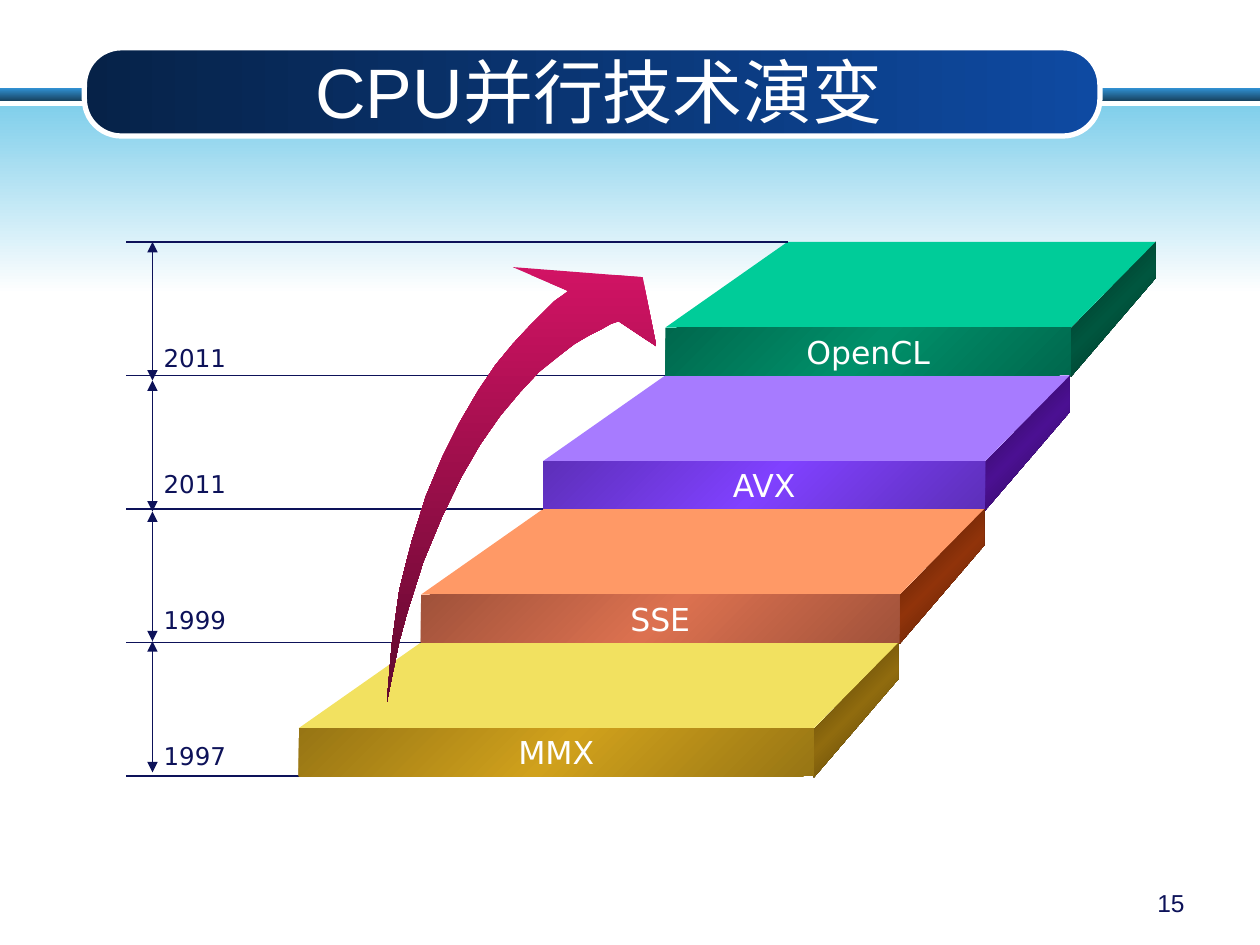
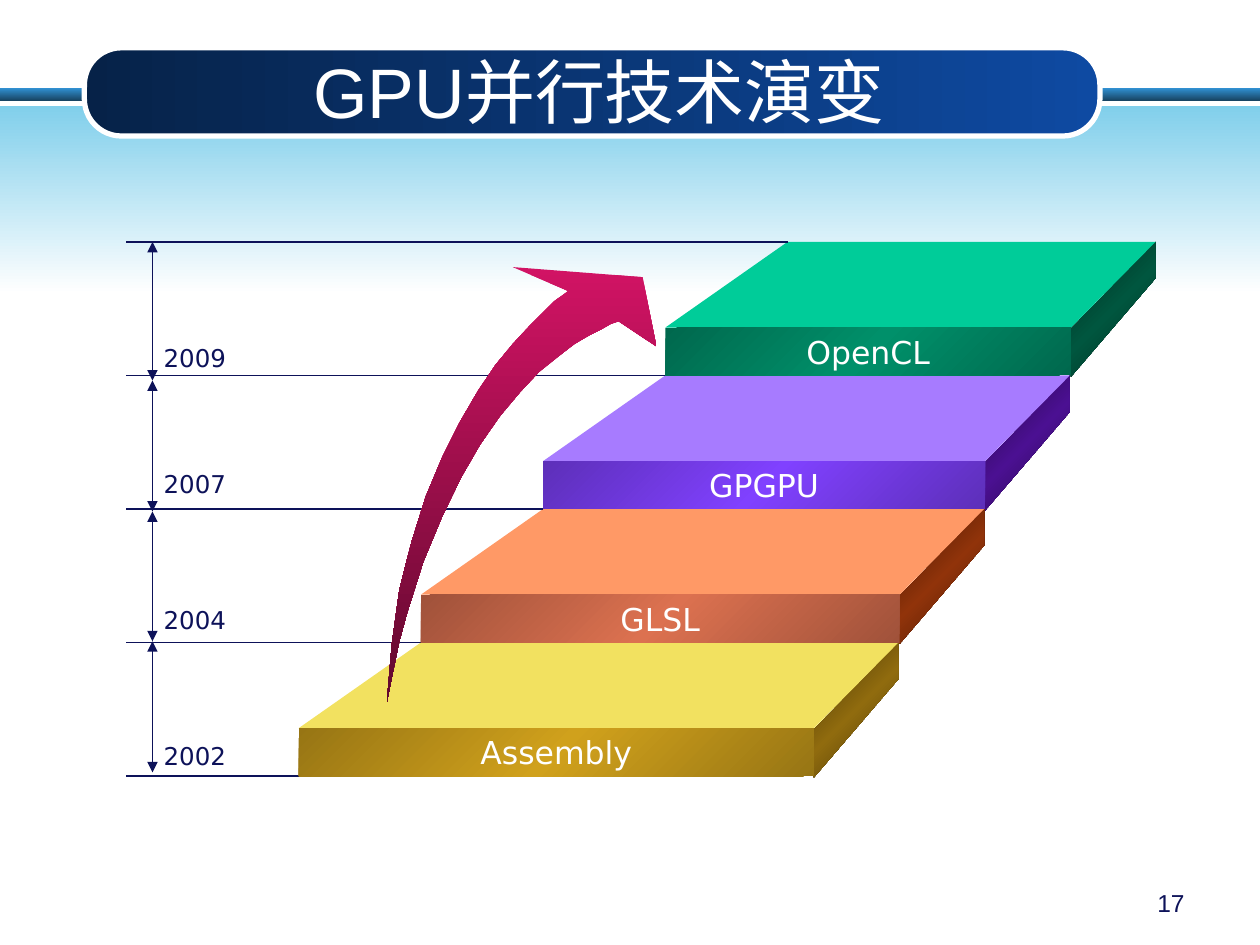
from copy import deepcopy
from typing import NamedTuple, Optional, Sequence

from lxml.etree import SubElement
from pptx import Presentation
from pptx.dml.color import RGBColor
from pptx.enum.shapes import MSO_CONNECTOR, MSO_SHAPE
from pptx.enum.text import MSO_ANCHOR, PP_ALIGN
from pptx.oxml.ns import qn
from pptx.util import Emu, Pt

EMU_PER_PX = 9144
INK = "0D1259"
WHITE = "FFFFFF"
TITLE_FONT = "Arial"
LABEL_FONT = "DejaVu Sans"

STEP_COUNT = 4
STEP_HEIGHT = 106
TREAD_DEPTH = 68
FRONT_HEIGHT = STEP_HEIGHT - TREAD_DEPTH
TOP_EDGE = 192
LEFT_SHIFT = 97
RIGHT_SHIFT = 67
RULE_LEFT = 100
TIMELINE_X = 121
TIMELINE_YS = (192, 302, 406, 509, 613)

GROWTH_ARROW = (
    (307, 558), (311, 511), (317, 468), (322, 448), (327, 429), (338, 394),
    (351, 363), (365, 335), (379, 311), (393, 290), (407, 273), (420, 259),
    (431, 248), (440, 239), (447, 234), (451, 231), (407, 212), (510, 220),
    (521, 275), (491, 255), (485, 257), (478, 261), (468, 266), (456, 273),
    (443, 283), (428, 295), (413, 311), (397, 330), (381, 353), (366, 379),
    (351, 410), (336, 446), (323, 487), (317, 509), (312, 533),
)


class StepStyle(NamedTuple):
    tread: str
    front_edge: str
    front_middle: str
    side_edge: str
    side_middle: str
    year_top: int


class Evolution(NamedTuple):
    title: str
    page: str
    names: Sequence[str]
    years: Sequence[str]


STEP_STYLES = (
    StepStyle("00CC99", "00684D", "00906A", "00281D", "00563F", 267),
    StepStyle("A77BFF", "5D2FB9", "8041FF", "230744", "4B1092", 367),
    StepStyle("FF9966", "A0523A", "DC7150", "431805", "90330A", 475),
    StepStyle("F2E160", "977514", "D0A11C", "433206", "906B0E", 583),
)

EVOLUTIONS = (
    Evolution("CPU并行技术演变", "15", ("OpenCL", "AVX", "SSE", "MMX"),
              ("2011", "2011", "1999", "1997")),
    Evolution("GPU并行技术演变", "17", ("OpenCL", "GPGPU", "GLSL", "Assembly"),
              ("2009", "2007", "2004", "2002")),
)


def px(length: int) -> Emu:
    return Emu(length * EMU_PER_PX)


def rgb(value: str) -> RGBColor:
    return RGBColor.from_string(value)


def paint(shape, colours: Sequence[str], angle: int = 0,
          outline: Optional[str] = None) -> None:
    shape.shadow.inherit = False
    if len(colours) == 1:
        shape.fill.solid()
        shape.fill.fore_color.rgb = rgb(colours[0])
    else:
        shape.fill.gradient()
        shape.fill.gradient_angle = -angle % 360
        stop_list = shape.element.spPr.find(".//" + qn("a:gsLst"))
        for _ in colours[2:]:
            stop_list.append(deepcopy(stop_list[0]))
        for i, (stop, colour) in enumerate(zip(shape.fill.gradient_stops, colours)):
            stop.position = i / (len(colours) - 1)
            stop.color.rgb = rgb(colour)
    if outline:
        shape.line.color.rgb = rgb(outline)
        shape.line.width = Pt(3)
    else:
        shape.line.fill.background()


def add_block(slide, left: int, top: int, width: int, height: int,
              colours: Sequence[str], angle: int = 0,
              kind=MSO_SHAPE.RECTANGLE, outline: Optional[str] = None):
    block = slide.shapes.add_shape(kind, px(left), px(top), px(width), px(height))
    paint(block, colours, angle, outline)
    return block


def add_outline(slide, points, colours: Sequence[str], angle: int = 0) -> None:
    builder = slide.shapes.build_freeform(*points[0], scale=EMU_PER_PX)
    builder.add_line_segments(points[1:], close=True)
    paint(builder.convert_to_shape(), colours, angle)


def add_rule(slide, x1: int, y1: int, x2: int, y2: int, arrows: bool = False) -> None:
    rule = slide.shapes.add_connector(
        MSO_CONNECTOR.STRAIGHT, px(x1), px(y1), px(x2), px(y2))
    rule.line.color.rgb = rgb(INK)
    rule.line.width = Pt(0.75)
    properties = rule.element.spPr
    if arrows:
        for end in ("a:headEnd", "a:tailEnd"):
            SubElement(properties.find(qn("a:ln")), qn(end), type="triangle")
    SubElement(properties, qn("a:effectLst"))


def write(shape, text: str, *, size: int, font: str = LABEL_FONT,
          colour: str = INK, align=PP_ALIGN.LEFT, anchor=MSO_ANCHOR.TOP,
          wrap: bool = False) -> None:
    frame = shape.text_frame
    frame.word_wrap = wrap
    frame.vertical_anchor = anchor
    paragraph = frame.paragraphs[0]
    paragraph.alignment = align
    run = paragraph.add_run()
    run.text = text
    run.font.size = Pt(size)
    run.font.name = font
    run.font.color.rgb = rgb(colour)


def add_text(slide, left: int, top: int, width: int, height: int,
             text: str, **text_format) -> None:
    box = slide.shapes.add_textbox(px(left), px(top), px(width), px(height))
    write(box, text, **text_format)


def draw_frame(slide, title: str, page: str) -> None:
    add_block(slide, 0, 70, 1000, 10, ("3191D3", "174361"), 90)
    add_block(slide, 0, 84, 1000, 149, ("81CFEB", WHITE), 90)
    banner = add_block(slide, 67, 38, 806, 70, ("062248", "0E4AA2"),
                       kind=MSO_SHAPE.ROUNDED_RECTANGLE, outline=WHITE)
    banner.adjustments[0] = 0.42
    add_text(slide, 92, 41, 767, 62, title, size=40, font=TITLE_FONT, colour=WHITE,
             align=PP_ALIGN.CENTER, anchor=MSO_ANCHOR.MIDDLE, wrap=True)
    add_text(slide, 717, 700, 233, 35, page, size=14, font=TITLE_FONT,
             align=PP_ALIGN.RIGHT, wrap=True)


def step_edges(level: int) -> tuple[int, int, int]:
    return 528 - LEFT_SHIFT * level, 850 - 68 * level, TOP_EDGE + STEP_HEIGHT * level


def draw_step(slide, level: int, style: StepStyle) -> None:
    left, right, top = step_edges(level)
    back_right = right + RIGHT_SHIFT
    fold = top + TREAD_DEPTH
    add_outline(slide, ((back_right, top + 29), (right, top + STEP_HEIGHT + 1),
                        (right, fold + 1), (back_right, top)),
                (style.side_edge, style.side_middle, style.side_edge), 45)
    add_outline(slide, ((right, fold), (left, fold), (left + LEFT_SHIFT, top),
                        (back_right, top)), (style.tread,))


def draw_front(slide, level: int, style: StepStyle, name: str) -> None:
    left, right, top = step_edges(level)
    front = add_block(slide, left, top + TREAD_DEPTH, right - left, FRONT_HEIGHT,
                      (style.front_edge, style.front_middle, style.front_edge), 45)
    write(front, name, size=18, colour=WHITE, align=PP_ALIGN.CENTER,
          anchor=MSO_ANCHOR.MIDDLE)


def draw_timeline(slide) -> None:
    for level in range(STEP_COUNT + 1):
        left, _, top = step_edges(level)
        add_rule(slide, left + LEFT_SHIFT, top, RULE_LEFT, top)
    for start, end in zip(TIMELINE_YS, TIMELINE_YS[1:]):
        add_rule(slide, TIMELINE_X, start, TIMELINE_X, end, arrows=True)


def draw_evolution(slide, evolution: Evolution) -> None:
    draw_frame(slide, evolution.title, evolution.page)
    for level, style in enumerate(STEP_STYLES):
        draw_step(slide, level, style)
    draw_timeline(slide)
    add_outline(slide, GROWTH_ARROW, ("D11364", "61092E"), 90)
    for level, (style, name, year) in enumerate(
            zip(STEP_STYLES, evolution.names, evolution.years)):
        draw_front(slide, level, style, name)
        add_text(slide, 120, style.year_top, 70, 34, year, size=14)


def main() -> None:
    deck = Presentation()
    deck.slide_width, deck.slide_height = px(1000), px(750)
    blank = deck.slide_layouts[6]
    for evolution in EVOLUTIONS:
        draw_evolution(deck.slides.add_slide(blank), evolution)
    deck.save("out.pptx")


if __name__ == "__main__":
    main()
